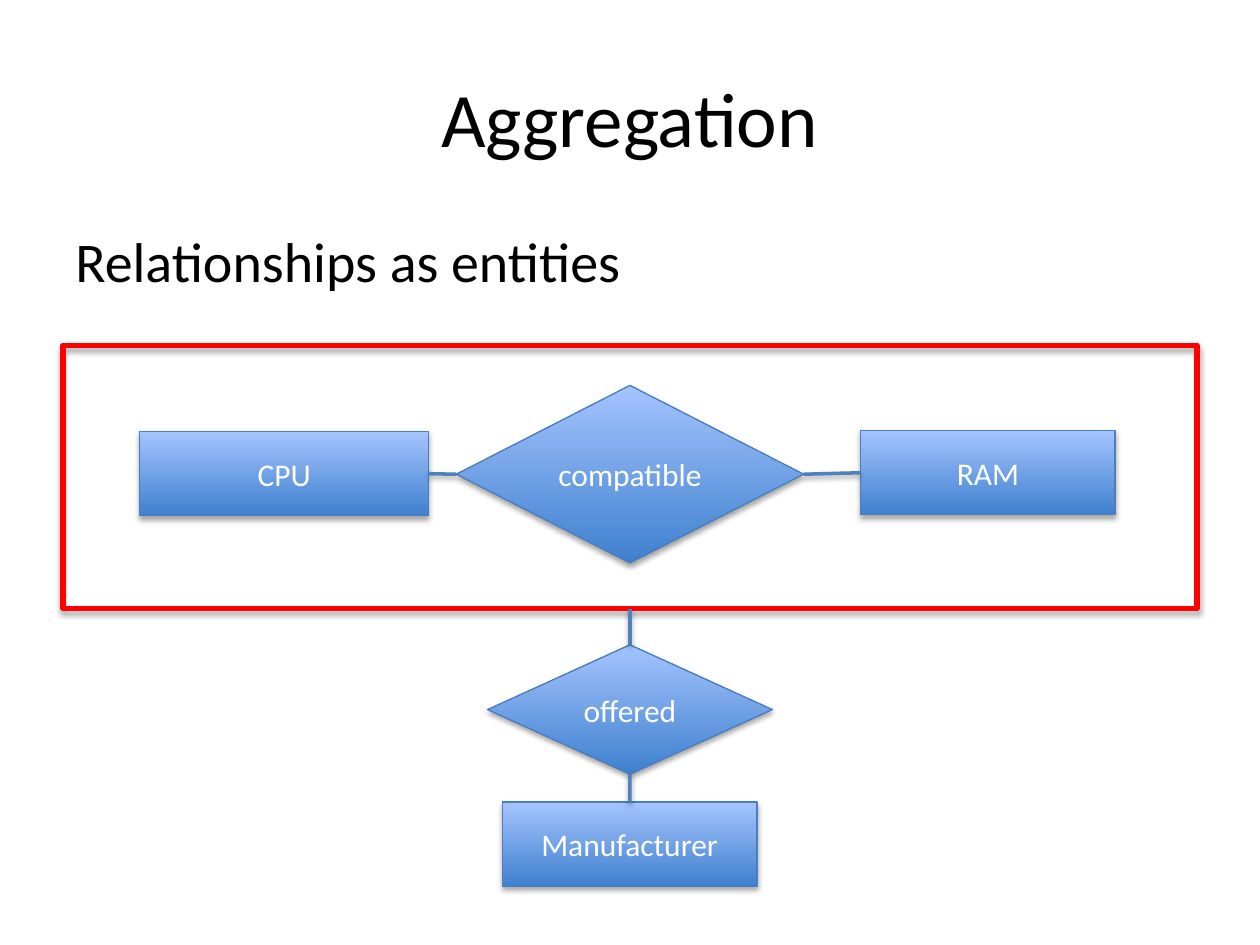
from dataclasses import dataclass

from lxml.etree import SubElement
from pptx import Presentation
from pptx.dml.color import RGBColor
from pptx.enum.shapes import MSO_CONNECTOR, MSO_SHAPE
from pptx.enum.text import MSO_ANCHOR, PP_ALIGN
from pptx.oxml.ns import qn
from pptx.util import Cm, Pt


@dataclass(frozen=True)
class Theme:
    font: str = "Calibri"
    title_size: Pt = Pt(44)
    body_size: Pt = Pt(32)
    label_size: Pt = Pt(18)
    text: RGBColor = RGBColor.from_string("000000")
    label: RGBColor = RGBColor.from_string("FFFFFF")
    fill_bottom: RGBColor = RGBColor.from_string("3F80CE")
    fill_top: RGBColor = RGBColor.from_string("A4C4FF")
    outline: RGBColor = RGBColor.from_string("4B7EBC")
    link: RGBColor = RGBColor.from_string("4F81BD")
    frame: RGBColor = RGBColor.from_string("FF0000")


@dataclass(frozen=True)
class Box:
    """Left, top, width and height in centimetres."""
    left: float
    top: float
    width: float
    height: float

    def lengths(self):
        return Cm(self.left), Cm(self.top), Cm(self.width), Cm(self.height)


@dataclass(frozen=True)
class Node:
    label: str
    kind: MSO_SHAPE
    box: Box


@dataclass(frozen=True)
class Link:
    start: str
    start_side: int
    end: str
    end_side: int


THEME = Theme()
TOP, LEFT, BOTTOM, RIGHT = range(4)  # connection sites of rectangle and diamond

MARGIN, CONTENT_WIDTH = 1.27, 22.86
TITLE_BOX = Box(MARGIN, 0.76, CONTENT_WIDTH, 3.18)
BODY_BOX = Box(MARGIN, 4.45, CONTENT_WIDTH, 12.57)
AGGREGATE = "aggregate"
AGGREGATE_BOX = Box(MARGIN, 6.96, CONTENT_WIDTH, 5.31)

NODES = [
    Node("RAM", MSO_SHAPE.RECTANGLE, Box(17.35, 8.68, 5.13, 1.7)),
    Node("CPU", MSO_SHAPE.RECTANGLE, Box(2.82, 8.7, 5.82, 1.7)),
    Node("compatible", MSO_SHAPE.DIAMOND, Box(9.2, 7.77, 7, 3.58)),
    Node("offered", MSO_SHAPE.DIAMOND, Box(9.83, 13, 5.74, 2.61)),
    Node("Manufacturer", MSO_SHAPE.RECTANGLE, Box(10.13, 16.17, 5.13, 1.7)),
]
LINKS = [
    Link("compatible", LEFT, "CPU", RIGHT),
    Link("RAM", LEFT, "compatible", RIGHT),
    Link("offered", TOP, AGGREGATE, BOTTOM),
    Link("Manufacturer", TOP, "offered", BOTTOM),
]


def add_shadow(properties, distance: int) -> None:
    """Append a soft downward shadow to shape properties whose line is set."""
    effects = properties.find(qn("a:effectLst"))
    if effects is None:
        effects = SubElement(properties, qn("a:effectLst"))
    shadow = SubElement(effects, qn("a:outerShdw"), blurRad="40000",
                        dist=str(distance), dir="5400000", rotWithShape="0")
    color = SubElement(shadow, qn("a:srgbClr"), val="000000")
    SubElement(color, qn("a:alpha"), val="35000")


def write(frame, text: str, size: Pt, color: RGBColor,
          align: PP_ALIGN, anchor: MSO_ANCHOR):
    frame.word_wrap = True
    frame.vertical_anchor = anchor
    paragraph = frame.paragraphs[0]
    paragraph.text = text
    paragraph.alignment = align
    paragraph.font.name = THEME.font
    paragraph.font.size = size
    paragraph.font.color.rgb = color
    return paragraph


def add_outlined(slide, kind: MSO_SHAPE, box: Box, color: RGBColor, width: Pt):
    shape = slide.shapes.add_shape(kind, *box.lengths())
    shape.line.color.rgb = color
    shape.line.width = width
    shape.shadow.inherit = False
    add_shadow(shape._element.spPr, 23000)
    return shape


def add_node(slide, node: Node):
    shape = add_outlined(slide, node.kind, node.box, THEME.outline, Pt(0.75))
    shape.fill.gradient()
    shape.fill.gradient_angle = 90
    for stop, color in zip(shape.fill.gradient_stops,
                           (THEME.fill_bottom, THEME.fill_top)):
        stop.color.rgb = color
    write(shape.text_frame, node.label, THEME.label_size, THEME.label,
          PP_ALIGN.CENTER, MSO_ANCHOR.MIDDLE)
    return shape


def add_link(slide, link: Link, parts: dict) -> None:
    connector = slide.shapes.add_connector(MSO_CONNECTOR.STRAIGHT, 0, 0, 0, 0)
    connector.begin_connect(parts[link.start], link.start_side)
    connector.end_connect(parts[link.end], link.end_side)
    connector.line.color.rgb = THEME.link
    connector.line.width = Pt(2)
    add_shadow(connector._element.spPr, 20000)


def main() -> None:
    deck = Presentation()
    deck.slide_width, deck.slide_height = Cm(25.4), Cm(19.05)
    slide = deck.slides.add_slide(deck.slide_layouts[6])

    title = slide.shapes.add_textbox(*TITLE_BOX.lengths())
    write(title.text_frame, "Aggregation", THEME.title_size, THEME.text,
          PP_ALIGN.CENTER, MSO_ANCHOR.MIDDLE)
    body = slide.shapes.add_textbox(*BODY_BOX.lengths())
    statement = write(body.text_frame, "Relationships as entities",
                      THEME.body_size, THEME.text, PP_ALIGN.LEFT, MSO_ANCHOR.TOP)
    statement.space_before = Pt(6.4)

    parts = {node.label: add_node(slide, node) for node in NODES}
    aggregate = add_outlined(slide, MSO_SHAPE.RECTANGLE, AGGREGATE_BOX,
                             THEME.frame, Pt(3))
    aggregate.fill.background()
    parts[AGGREGATE] = aggregate
    for link in LINKS:
        add_link(slide, link, parts)

    deck.save("out.pptx")


if __name__ == "__main__":
    main()
